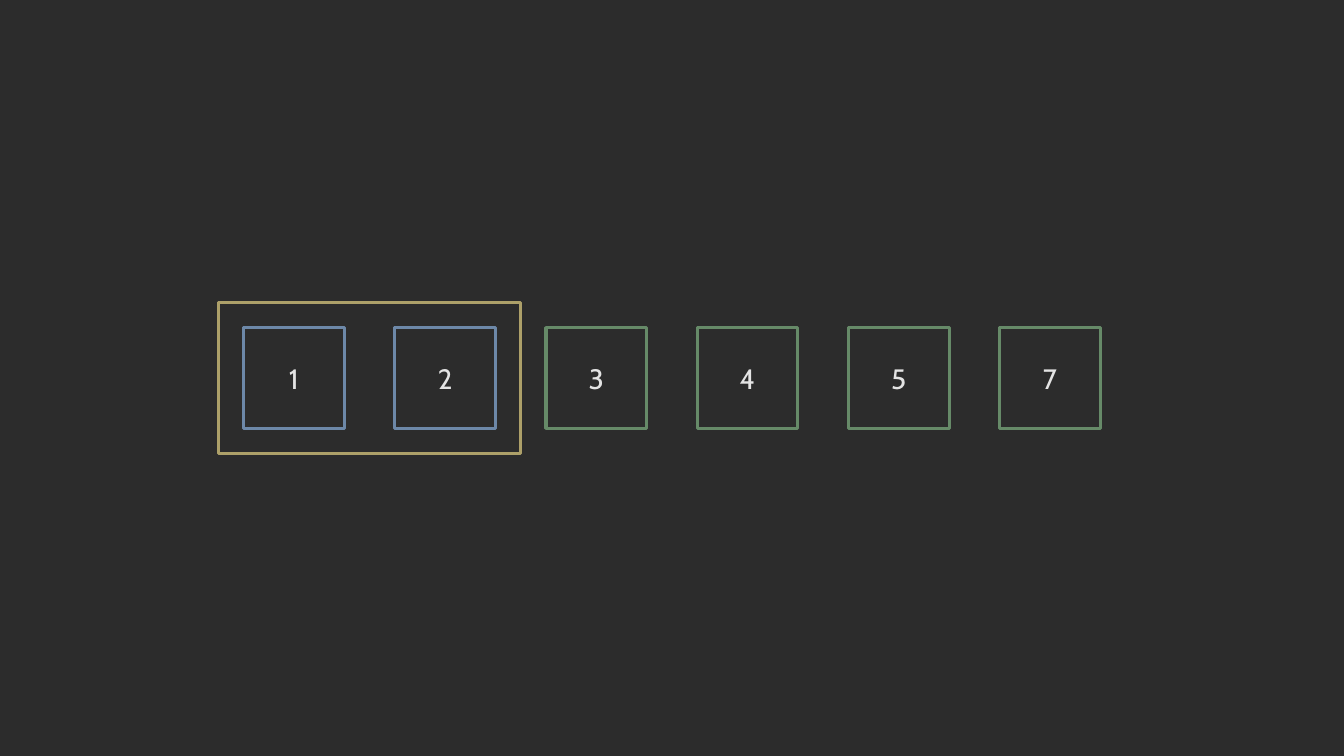
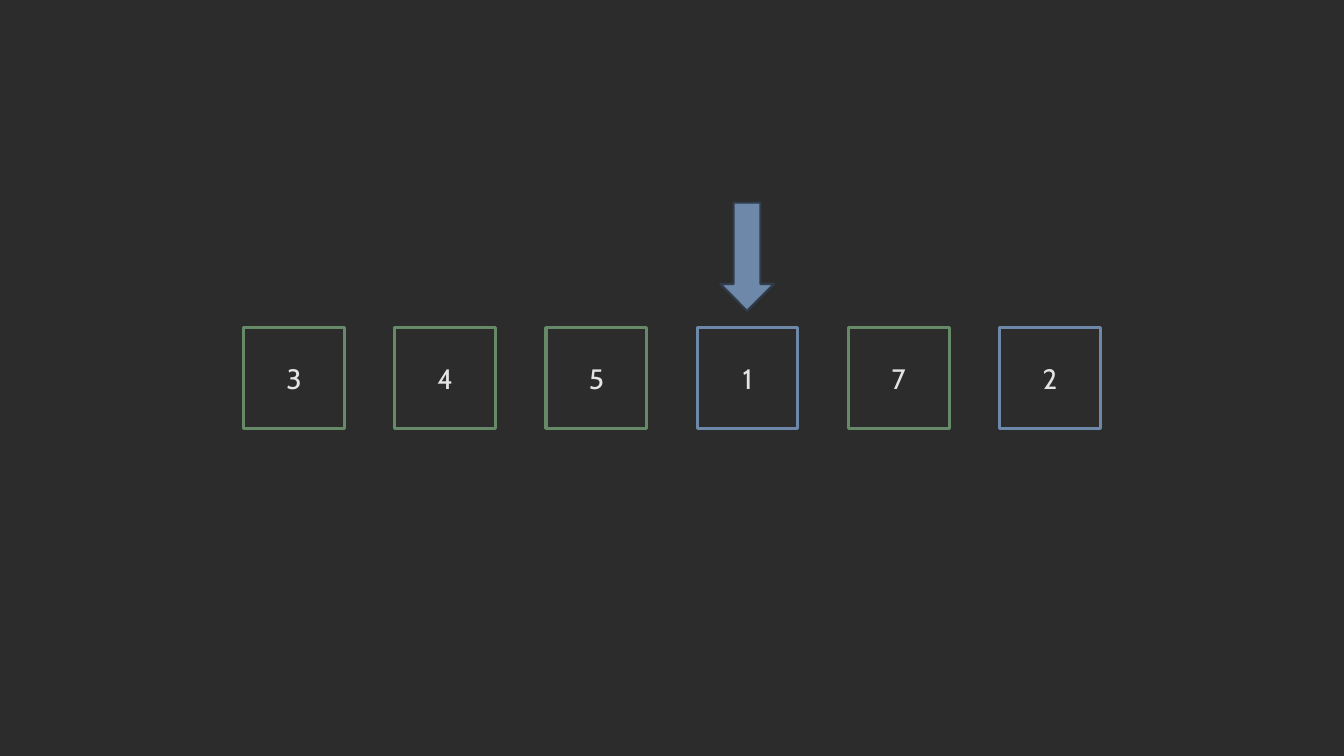
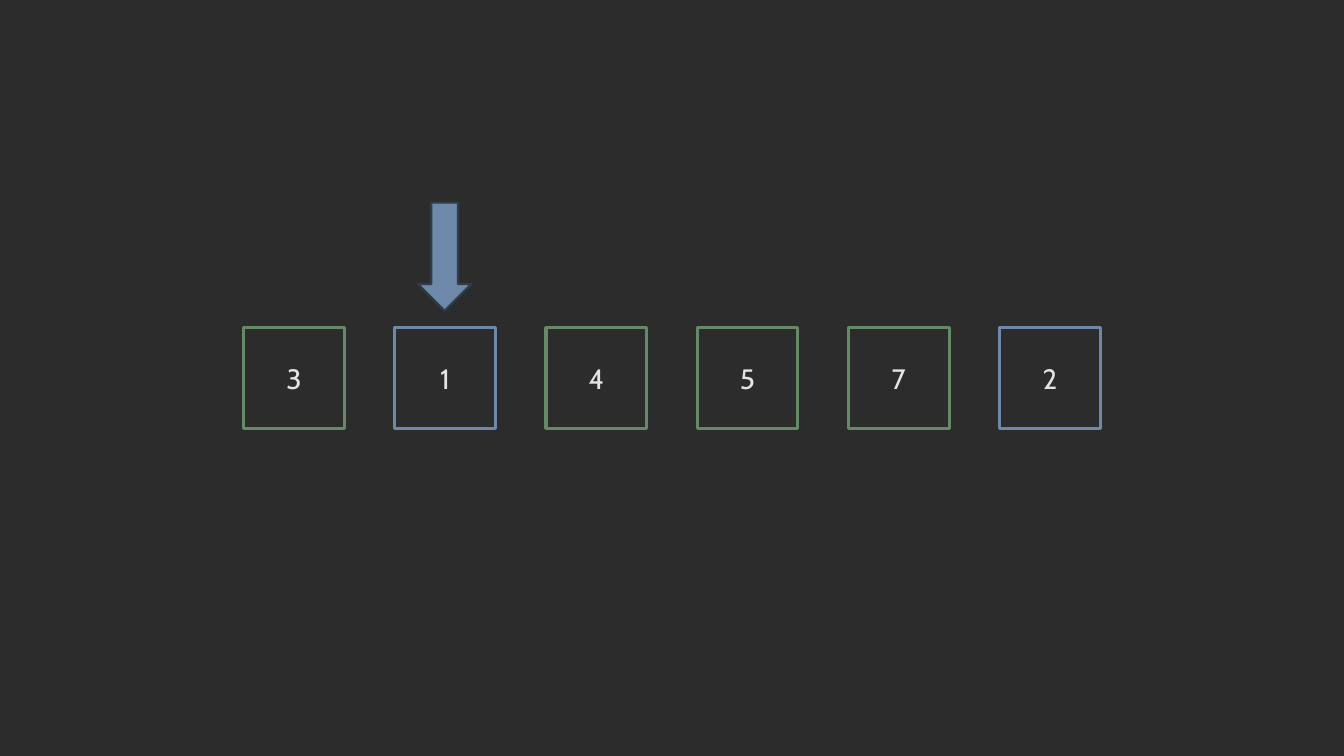
from pptx import Presentation
from pptx.dml.color import RGBColor
from pptx.enum.shapes import MSO_SHAPE
from pptx.enum.text import MSO_ANCHOR, PP_ALIGN
from pptx.util import Pt

RECT, DOWN_ARROW = MSO_SHAPE.RECTANGLE, MSO_SHAPE.DOWN_ARROW
MIDDLE, CENTER = MSO_ANCHOR.MIDDLE, PP_ALIGN.CENTER

PX = 9525  # EMU per px, 96 px to the inch
W, H = 1280, 720
COLORS = {
    "background": "2C2C2C",
    "text": "E4E4E4",
    "green": "668A68",
    "blue": "6D88A8",
    "gold": "ADA069",
    "arrow_line": "303C4A",
}
FONT = "Cabin"

# Row of boxes, centred on the slide
BOX, PITCH, COUNT = 96, 144, 6
ROW_LEFT = (W - BOX - PITCH * (COUNT - 1)) // 2
ROW_TOP = (H - BOX) // 2
FRAME_PAD = 24
ARROW_W, ARROW_H, ARROW_TOP = 51, 103, 193

# Order of the values, number of framed boxes, value under the arrow
SLIDES = [
    {"values": "123457", "framed": 2, "pointed": None},
    {"values": "345172", "framed": 0, "pointed": "1"},
    {"values": "314572", "framed": 0, "pointed": "1"},
]
HIGHLIGHTED = "12"


def rgb(name):
    return RGBColor.from_string(COLORS[name])


def add_shape(slide, kind, x, y, w, h, text="", line="green", width=2.25,
              fill=None, size=20, color="text"):
    sp = slide.shapes.add_shape(kind, x * PX, y * PX, w * PX, h * PX)
    sp.shadow.inherit = False
    sp.line.color.rgb = rgb(line)
    sp.line.width = Pt(width)
    if fill:
        sp.fill.solid()
        sp.fill.fore_color.rgb = rgb(fill)
    else:
        sp.fill.background()
    if text:
        tf = sp.text_frame
        tf.vertical_anchor = MIDDLE
        p = tf.paragraphs[0]
        p.alignment = CENTER
        r = p.add_run()
        r.text = text
        r.font.name = FONT
        r.font.size = Pt(size)
        r.font.color.rgb = rgb(color)
    return sp


prs = Presentation()
prs.slide_width, prs.slide_height = W * PX, H * PX
blank = prs.slide_layouts[6]

# Shared background
background = prs.slide_master.background.fill
background.solid()
background.fore_color.rgb = rgb("background")

for state in SLIDES:
    slide = prs.slides.add_slide(blank)

    # Numbered boxes, with an arrow above the pointed one
    for i, value in enumerate(state["values"]):
        x = ROW_LEFT + i * PITCH
        add_shape(slide, RECT, x, ROW_TOP, BOX, BOX, text=value,
                  line="blue" if value in HIGHLIGHTED else "green")
        if value == state["pointed"]:
            add_shape(slide, DOWN_ARROW, x + (BOX - ARROW_W) // 2, ARROW_TOP,
                      ARROW_W, ARROW_H, line="arrow_line", width=1.5,
                      fill="blue")

    # Frame around the first boxes
    if state["framed"]:
        span = BOX + PITCH * (state["framed"] - 1)
        add_shape(slide, RECT, ROW_LEFT - FRAME_PAD, ROW_TOP - FRAME_PAD,
                  span + 2 * FRAME_PAD, BOX + 2 * FRAME_PAD, line="gold")

prs.save("out.pptx")
